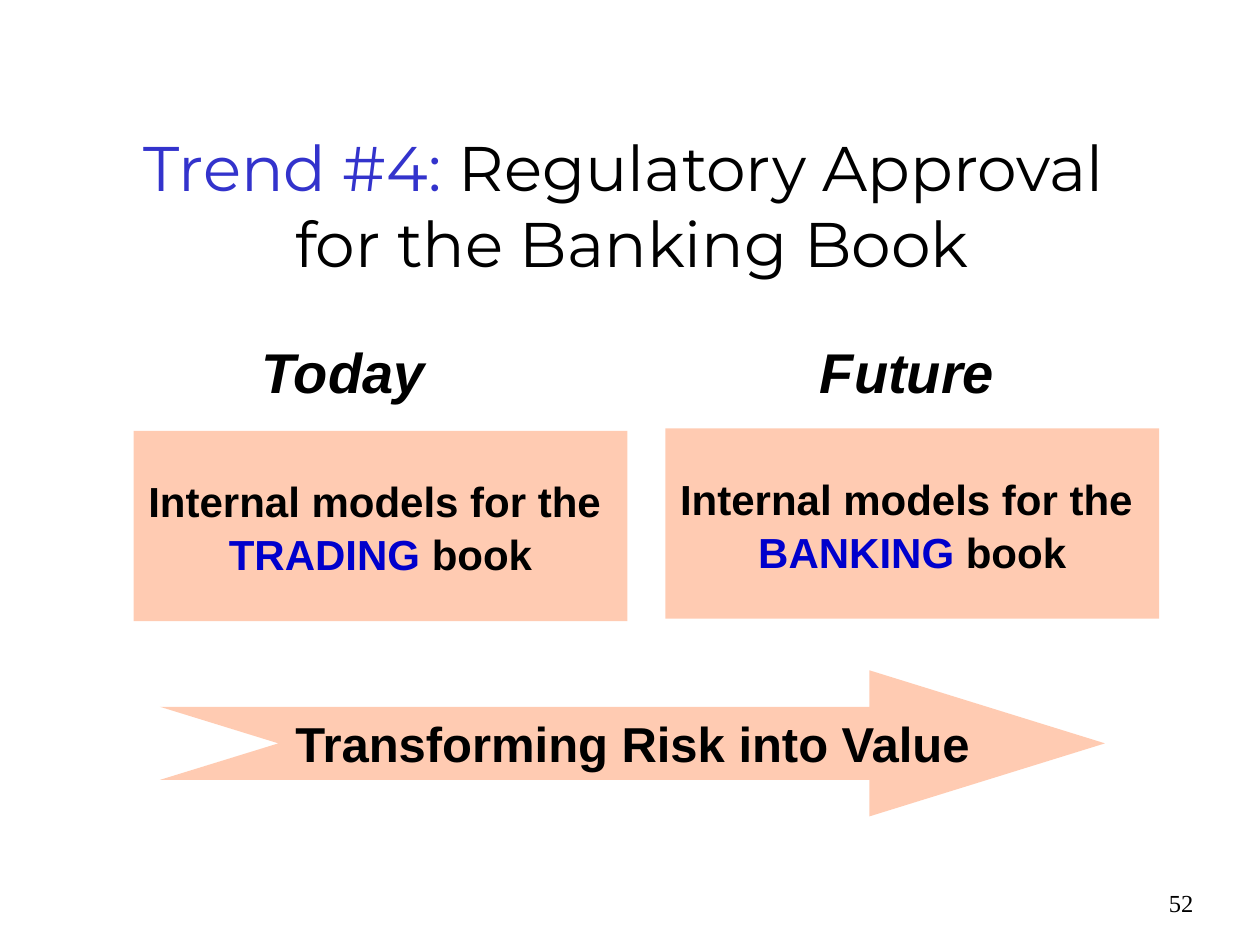
from copy import deepcopy

from lxml import etree
from pptx import Presentation
from pptx.dml.color import RGBColor
from pptx.enum.shapes import MSO_SHAPE as Shape
from pptx.enum.text import MSO_ANCHOR as Anchor, MSO_AUTO_SIZE as AutoSize, PP_ALIGN as Align
from pptx.oxml.ns import qn
from pptx.util import Inches, Pt

BLACK = RGBColor(0x00, 0x00, 0x00)
TITLE_BLUE = RGBColor(0x33, 0x33, 0xCC)
BOOK_BLUE = RGBColor(0x00, 0x00, 0xCC)
ORANGE = RGBColor(0xFF, 0x99, 0x66)

TITLE = dict(name="Montserrat", size=Pt(36), bold=False)
HEADING = dict(name="Arial", size=Pt(32), bold=True, italic=True)
MODEL = dict(name="Arial", size=Pt(24), bold=True)
ARROW = dict(name="Arial", size=Pt(28), bold=True)
NUMBER = dict(name="Times New Roman", size=Pt(14))


def write(box, pieces, look, align=Align.CENTER, anchor=Anchor.MIDDLE, wrap=True):
    """Fill a box with (text, colour) pieces; a newline is a line break."""
    frame = box.text_frame
    frame.auto_size = AutoSize.NONE
    frame.word_wrap = wrap
    frame.vertical_anchor = anchor
    para = frame.paragraphs[0]
    para.alignment = align
    for text, colour in pieces:
        for index, line in enumerate(text.split("\n")):
            if index:
                para.add_line_break()
                line_break = para._p.findall(qn("a:br"))[-1]
                line_break.append(deepcopy(span.font._element))
            if line:
                span = para.add_run()
                span.text = line
                for key, value in look.items():
                    setattr(span.font, key, value)
                span.font.color.rgb = colour
    return para


def tint(shape):
    """Half-transparent orange, with no line and no shadow."""
    shape.shadow.inherit = False
    shape.line.fill.background()
    shape.fill.solid()
    shape.fill.fore_color.rgb = ORANGE
    colour = shape._element.spPr.find(qn("a:solidFill"))[0]
    etree.SubElement(colour, qn("a:alpha"), val="50000")


deck = Presentation()
deck.slide_width, deck.slide_height = Inches(10), Inches(7.5)
page = deck.slides.add_slide(deck.slide_layouts[5])

# Title
title = page.shapes.title
title.left, title.top = Inches(0.43), Inches(1.08)
title.width, title.height = Inches(9.17), Inches(1.08)
write(title, [("Trend #4:", TITLE_BLUE),
              (" Regulatory Approval \nfor the Banking Book", BLACK)], TITLE)

# Model boxes
for left, top, book in [(5.28, 3.4, "BANKING"), (1.06, 3.42, "TRADING")]:
    box = page.shapes.add_shape(Shape.RECTANGLE, Inches(left), Inches(top),
                                Inches(3.92), Inches(1.51))
    tint(box)
    para = write(box, [("Internal models for the \n", BLACK), (book, BOOK_BLUE),
                       (" book", BLACK)], MODEL, wrap=False)
    para.line_spacing = 1.05

# Notched arrow
points = [(1.27, 5.61), (6.9, 5.61), (6.9, 5.32), (8.77, 5.9),
          (6.9, 6.48), (6.9, 6.19), (1.27, 6.19), (2.21, 5.9)]
corners = [(Inches(x), Inches(y)) for x, y in points]
builder = page.shapes.build_freeform(*corners[0])
builder.add_line_segments(corners[1:], close=True)
arrow = builder.convert_to_shape()
tint(arrow)
write(arrow, [("Transforming Risk into Value", BLACK)], ARROW, wrap=False)

# Column headings
for left, width, text in [(1.35, 2.75, "Today"), (5.66, 3.08, "Future")]:
    heading = page.shapes.add_textbox(Inches(left), Inches(2.63), Inches(width), Inches(0.63))
    write(heading, [(text, BLACK)], HEADING)

# Page number
number = page.shapes.add_textbox(Inches(7.49), Inches(7), Inches(2.08), Inches(0.5))
write(number, [("52", BLACK)], NUMBER, align=Align.RIGHT, anchor=Anchor.TOP)

deck.save("out.pptx")
